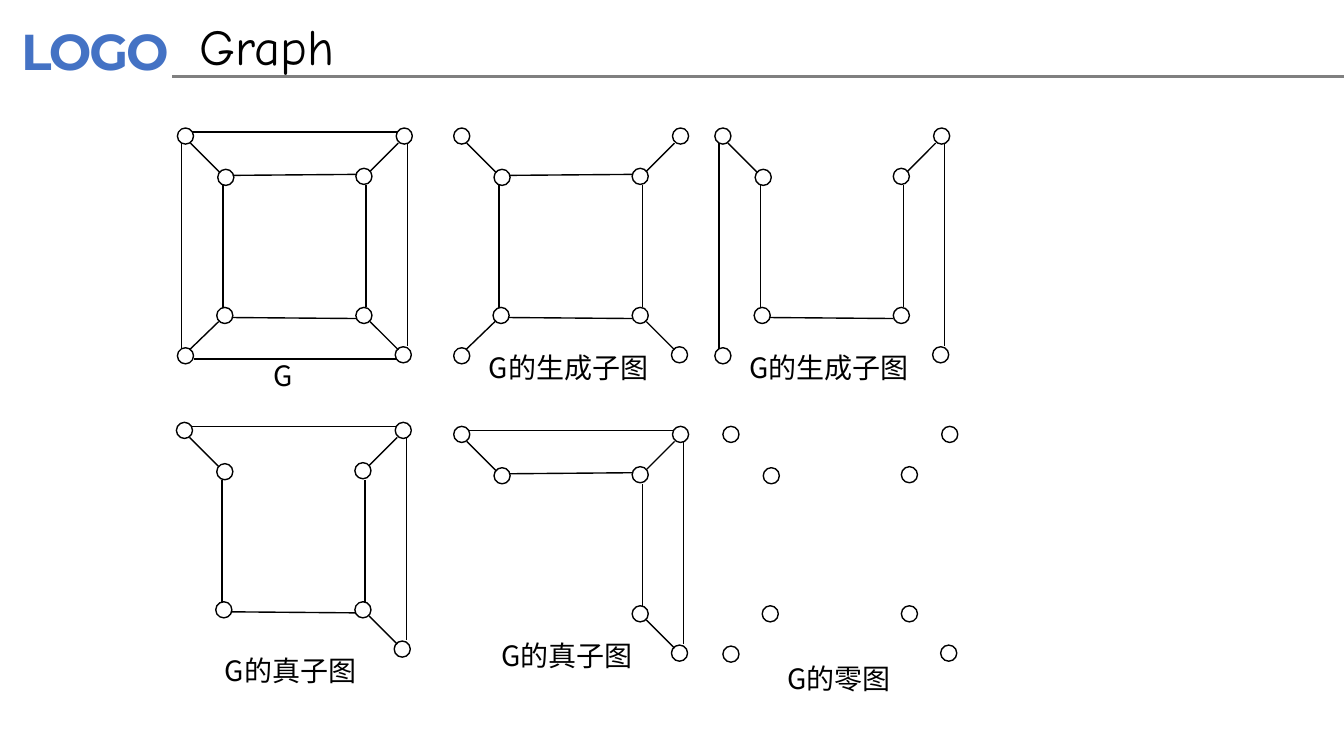
from pptx import Presentation
from pptx.dml.color import RGBColor
from pptx.enum import shapes, text
from pptx.oxml.ns import qn
from pptx.util import Inches, Pt
from lxml import etree

BLACK = RGBColor(0x00, 0x00, 0x00)
GRAY = RGBColor(0x80, 0x80, 0x80)
BLUE = RGBColor(0x44, 0x72, 0xC4)

# Node corners and edge ends, in inches from the panel's top left corner
NODES = {
    "top left": (0, 0), "top right": (2.17, 0),
    "bottom left": (0, 2.18), "bottom right": (2.16, 2.17),
    "inner top left": (0.4, 0.41), "inner top right": (1.77, 0.4),
    "inner bottom left": (0.39, 1.78), "inner bottom right": (1.77, 1.78),
}
EDGES = {
    "top": (0.14, 0.04, 2.18, 0.04), "bottom": (0.16, 2.29, 2.17, 2.29),
    "left": (0.04, 0.15, 0.04, 2.19), "right": (2.28, 0.16, 2.28, 2.16),
    "inner top": (0.55, 0.47, 1.77, 0.46), "inner bottom": (0.54, 1.88, 1.77, 1.89),
    "inner left": (0.45, 0.57, 0.45, 1.79), "inner right": (1.87, 0.57, 1.87, 1.78),
    "spoke top left": (0.13, 0.15, 0.42, 0.44),
    "spoke top right": (2.19, 0.15, 1.91, 0.43),
    "spoke bottom left": (0.41, 1.92, 0.12, 2.2),
    "spoke bottom right": (1.91, 1.92, 2.19, 2.2),
}
SPOKES = {name for name in EDGES if name.startswith("spoke")}
INNER = {name for name in EDGES if name.startswith("inner")}
TOP_SPOKES = {"spoke top left", "spoke top right"}
NODE_SIZE = 0.16

# Panel: left, top, missing nodes, edges, caption, caption left, top, width
PANELS = [
    (1.76, 1.27, set(), set(EDGES), "G", 2.71, 3.56, 0.33),
    (4.5, 1.27, set(), SPOKES | INNER, "G的生成子图", 4.85, 3.48, 1.63),
    (7.09, 1.27, set(), TOP_SPOKES | INNER - {"inner top"} | {"left", "right"},
     "G的生成子图", 7.43, 3.48, 1.67),
    (1.75, 4.19, {"bottom left"},
     SPOKES - {"spoke bottom left"} | INNER - {"inner top"} | {"top", "right"},
     "G的真子图", 2.23, 6.48, 1.33),
    (4.5, 4.23, {"bottom left", "inner bottom left"},
     SPOKES - {"spoke bottom left"} | {"inner top", "inner right", "top", "right"},
     "G的真子图", 4.97, 6.33, 1.4),
    (7.17, 4.23, set(), set(), "G的零图", 7.81, 6.56, 1.04),
]


def write(box, words, font, size, color=BLACK, bold=False, spacing=0, insets=(0, 0)):
    frame = box.text_frame
    frame.word_wrap = True
    frame.auto_size = text.MSO_AUTO_SIZE.SHAPE_TO_FIT_TEXT
    frame.vertical_anchor = text.MSO_ANCHOR.TOP
    frame.margin_left = frame.margin_right = Inches(insets[0])
    frame.margin_top = frame.margin_bottom = Inches(insets[1])
    para = frame.paragraphs[0]
    para.alignment = text.PP_ALIGN.LEFT
    span = para.add_run()
    span.text = words
    span.font.name, span.font.size, span.font.bold = font, Pt(size), bold
    span.font.color.rgb = color
    properties = span._r.get_or_add_rPr()
    etree.SubElement(properties, qn("a:ea")).set("typeface", font)
    if spacing:
        properties.set("spc", str(int(spacing * 100)))


def draw_line(owner, ends, color=BLACK, width=1):
    line = owner.shapes.add_connector(
        shapes.MSO_CONNECTOR.STRAIGHT, *[Inches(end) for end in ends])
    line.line.color.rgb = color
    line.line.width = Pt(width)
    etree.SubElement(line._element.spPr, qn("a:effectLst"))


deck = Presentation()
deck.slide_width, deck.slide_height = Inches(13.33), Inches(7.5)
page = deck.slides.add_slide(deck.slide_layouts[5])

# Header
mark = page.shapes.add_textbox(Inches(0.08), Inches(0.13), Inches(1.86), Inches(0.74))
write(mark, "LOGO", "Montserrat", 36, BLUE, bold=True, spacing=-1.5, insets=(0.13, 0.07))
draw_line(page, (1.71, 0.76, 13.33, 0.76), GRAY, 2)
title = page.shapes.title
title.left, title.top = Inches(1.88), Inches(0.1)
title.width, title.height = Inches(8.62), Inches(0.71)
write(title, "Graph", "Comic Neue", 36, insets=(0.1, 0.05))

# Graph panels
for left, top, missing, edges, caption, caption_left, caption_top, caption_width in PANELS:
    panel = page.shapes.add_group_shape()
    for name, (x, y) in NODES.items():
        if name in missing:
            continue
        node = panel.shapes.add_shape(
            shapes.MSO_SHAPE.OVAL, Inches(left + x), Inches(top + y),
            Inches(NODE_SIZE), Inches(NODE_SIZE))
        node.shadow.inherit = False
        node.fill.background()
        node.line.color.rgb = BLACK
        node.line.width = Pt(1)
    for name, (x1, y1, x2, y2) in EDGES.items():
        if name in edges:
            draw_line(panel, (left + x1, top + y1, left + x2, top + y2))
    label = panel.shapes.add_textbox(
        Inches(caption_left), Inches(caption_top), Inches(caption_width), Inches(0.33))
    write(label, caption, "Noto Sans CJK SC", 20)

deck.save("out.pptx")
